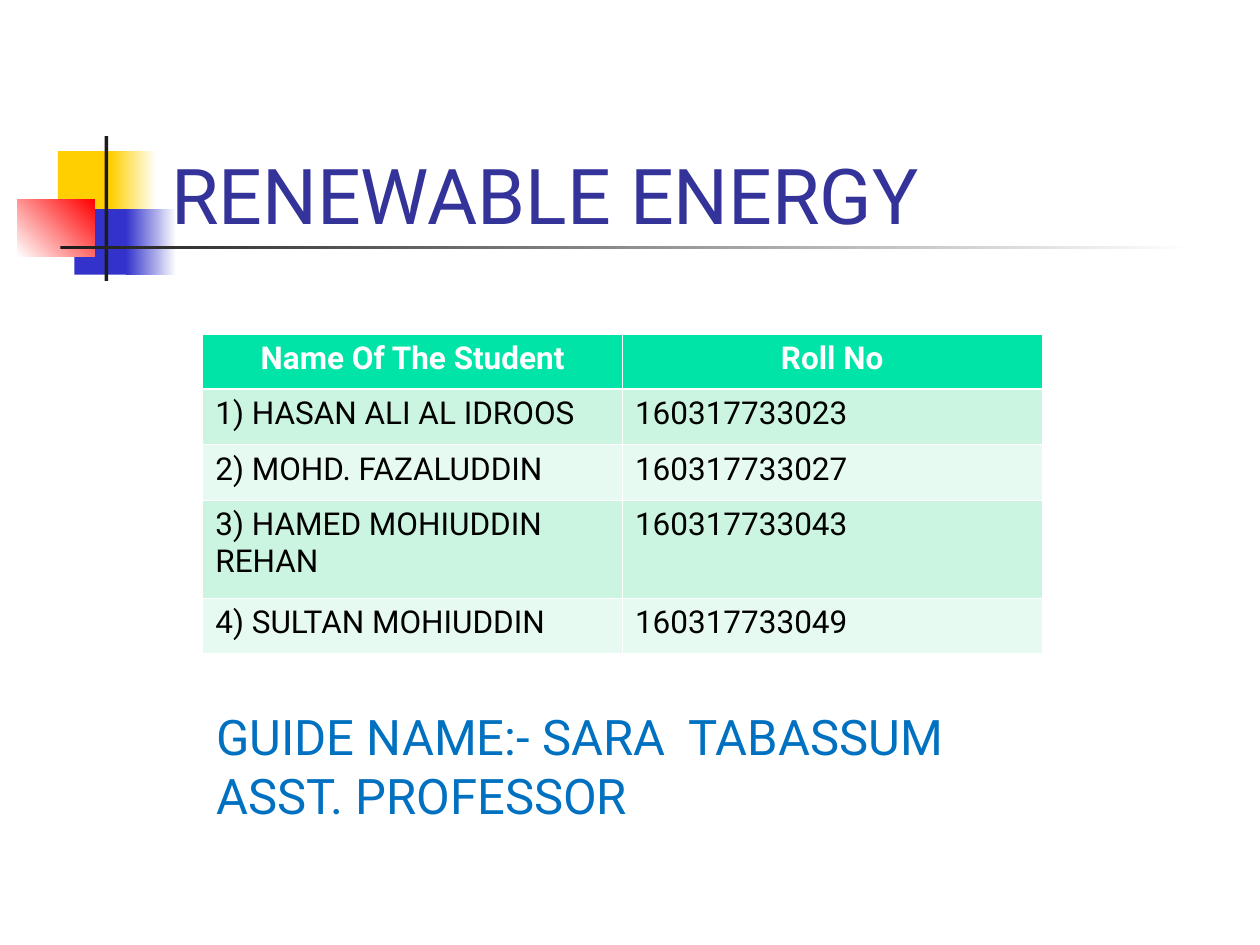
from dataclasses import dataclass

from lxml import etree
from pptx import Presentation
from pptx.dml.color import RGBColor
from pptx.enum import shapes, text
from pptx.oxml import ns
from pptx.util import Inches, Pt

FONT = "Roboto"
COLORS = {
    "yellow": "FFCF01",
    "blue": "3333CC",
    "red": "FF0000",
    "dark": "1C1C1C",
    "white": "FFFFFF",
    "black": "000000",
    "title": "333399",
    "guide": "0070C0",
    "header": "00E4A8",
    "odd row": "CBF5E1",
    "even row": "E7FAF1",
}


@dataclass
class Block:
    """A decorative rectangle; it fades to end_color when one is given."""

    left: float
    top: float
    width: float
    height: float
    color: str
    end_color: str = ""
    angle: int = 0


BLOCKS = [
    Block(0.46, 1.2, 0.48, 0.52, "yellow"),
    Block(0.88, 1.2, 0.36, 0.52, "yellow", "white"),
    Block(0.59, 1.66, 0.46, 0.52, "blue"),
    Block(1, 1.66, 0.4, 0.52, "blue", "white"),
    Block(0.14, 1.58, 0.61, 0.46, "white", "red", 45),
    Block(0.83, 1.08, 0.03, 1.15, "dark"),
    Block(0.48, 1.95, 9, 0.03, "dark", "white"),
]

STUDENTS = [
    ("Name Of The Student", "Roll No"),
    ("1) HASAN ALI AL IDROOS", "160317733023"),
    ("2) MOHD. FAZALUDDIN", "160317733027"),
    ("3) HAMED MOHIUDDIN REHAN", "160317733043"),
    ("4) SULTAN MOHIUDDIN", "160317733049"),
]
ROW_HEIGHTS = [0.44, 0.44, 0.44, 0.78, 0.44]
COLUMN_WIDTH = 3.33
THIN, THICK = 0.45, 1.47


def rgb(name: str) -> RGBColor:
    return RGBColor.from_string(COLORS[name])


def draw_block(page, block: Block) -> None:
    shape = page.shapes.add_shape(
        shapes.MSO_SHAPE.RECTANGLE,
        Inches(block.left), Inches(block.top), Inches(block.width), Inches(block.height),
    )
    shape.shadow.inherit = False
    shape.line.fill.background()
    if block.end_color:
        shape.fill.gradient()
        shape.fill.gradient_angle = block.angle
        for stop, color in zip(shape.fill.gradient_stops, (block.color, block.end_color)):
            stop.color.rgb = rgb(color)
    else:
        shape.fill.solid()
        shape.fill.fore_color.rgb = rgb(block.color)


def format_text(frame, size: int, color: str, bold: bool = False) -> None:
    for para in frame.paragraphs:
        for span in para.runs:
            span.font.name = FONT
            span.font.size = Pt(size)
            span.font.bold = bold
            span.font.color.rgb = rgb(color)


def draw_text(page, left: float, top: float, width: float, height: float,
              words: str, size: int, color: str):
    box = page.shapes.add_textbox(Inches(left), Inches(top), Inches(width), Inches(height))
    frame = box.text_frame
    frame.word_wrap = True
    frame.text = words
    format_text(frame, size, color)
    return frame


def set_borders(cell, top: float, bottom: float) -> None:
    """Give the cell white borders; the side ones are thin."""
    properties = cell._tc.get_or_add_tcPr()
    widths = {"a:lnL": THIN, "a:lnR": THIN, "a:lnT": top, "a:lnB": bottom}
    for position, (tag, width) in enumerate(widths.items()):
        line = etree.Element(ns.qn(tag), w=str(Pt(width)))
        fill = etree.SubElement(line, ns.qn("a:solidFill"))
        etree.SubElement(fill, ns.qn("a:srgbClr"), val=COLORS["white"])
        properties.insert(position, line)


def draw_students(page, left: float, top: float) -> None:
    table = page.shapes.add_table(
        len(STUDENTS), 2, Inches(left), Inches(top),
        Inches(2 * COLUMN_WIDTH), Inches(sum(ROW_HEIGHTS)),
    ).table
    for column in table.columns:
        column.width = Inches(COLUMN_WIDTH)
    for i, (values, height) in enumerate(zip(STUDENTS, ROW_HEIGHTS)):
        is_header = i == 0
        fill = "header" if is_header else "odd row" if i % 2 else "even row"
        table.rows[i].height = Inches(height)
        for cell, value in zip(table.rows[i].cells, values):
            cell.text_frame.text = value
            format_text(cell.text_frame, 18, "white" if is_header else "black", is_header)
            if is_header:
                cell.text_frame.paragraphs[0].alignment = text.PP_ALIGN.CENTER
            cell.fill.solid()
            cell.fill.fore_color.rgb = rgb(fill)
            set_borders(cell, THICK if i == 1 else THIN, THICK if is_header else THIN)


def main() -> None:
    deck = Presentation()
    deck.slide_width, deck.slide_height = Inches(10), Inches(7.5)
    page = deck.slides.add_slide(deck.slide_layouts[6])
    for block in BLOCKS:
        draw_block(page, block)
    title = draw_text(page, 1.26, 0.67, 8.52, 1.25, "RENEWABLE ENERGY", 44, "title")
    title.vertical_anchor = text.MSO_ANCHOR.BOTTOM
    title.margin_bottom = Inches(0.02)
    draw_students(page, 1.61, 2.65)
    draw_text(page, 1.62, 5.56, 7.74, 1.04,
              "GUIDE NAME:- SARA  TABASSUM\nASST. PROFESSOR", 28, "guide")
    deck.save("out.pptx")


if __name__ == "__main__":
    main()
